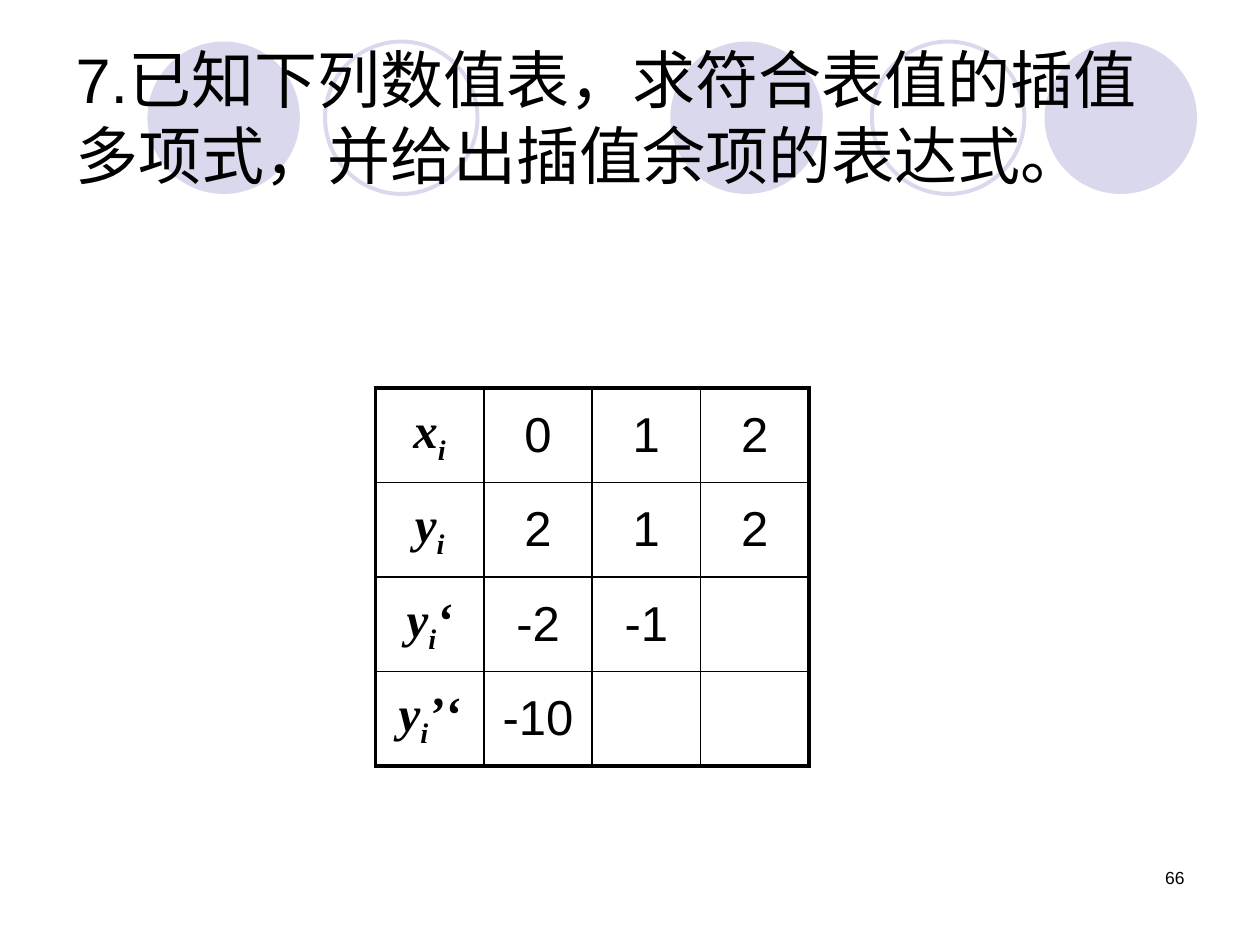
from lxml import etree
from pptx import Presentation
from pptx import util as u
from pptx.dml.color import RGBColor
from pptx.enum import shapes, text
from pptx.oxml.ns import qn

PX = 9144  # EMU per px, 100 px to the inch
COLORS = {"ink": "000000", "lilac": "D9D8EC"}
SANS, SERIF = "Arial", "Times New Roman"
THIN, THICK = 1, 2.25

CIRCLE, TOP = 121, 33
CIRCLES = [(532, True), (829, True), (117, True), (692, False), (258, False)]

# Row label: letter, subscript, prime marks; then the values
ROWS = [
    (("x", "i", ""), ["0", "1", "2"]),
    (("y", "i", ""), ["2", "1", "2"]),
    (("y", "i", "‘"), ["-2", "-1", ""]),
    (("y", "i", "’‘"), ["-10", "", ""]),
]


def px(*lengths):
    return [u.Emu(n * PX) for n in lengths]


def rgb(name):
    return RGBColor.from_string(COLORS[name])


def add_run(p, words, size, font=SANS, strong=False, baseline=0):
    """Add a run; strong is bold italic, baseline is a percentage."""
    r = p.add_run()
    r.text = words
    f = r.font
    f.size, f.name = u.Pt(size), font
    f.bold = f.italic = strong
    f.color.rgb = rgb("ink")
    if baseline:
        r._r.get_or_add_rPr().set("baseline", str(baseline * 1000))


def add_circle(s, left, filled):
    sp = s.shapes.add_shape(shapes.MSO_SHAPE.OVAL, *px(left, TOP, CIRCLE, CIRCLE))
    sp.shadow.inherit = False
    if filled:
        sp.fill.solid()
        sp.fill.fore_color.rgb = rgb("lilac")
        sp.line.fill.background()
    else:
        sp.fill.background()
        sp.line.color.rgb = rgb("lilac")
        sp.line.width = u.Pt(THICK)


def set_title(s, words):
    sp = s.shapes.title
    s.shapes._spTree.append(sp._element)  # in front of the circles
    sp.left, sp.top, sp.width, sp.height = px(50, 30, 900, 125)
    tf = sp.text_frame
    tf.word_wrap = True
    tf.auto_size = text.MSO_AUTO_SIZE.NONE
    tf.vertical_anchor = text.MSO_ANCHOR.MIDDLE
    p = tf.paragraphs[0]
    p.alignment = text.PP_ALIGN.LEFT
    add_run(p, words, 36)


def set_borders(cell, widths):
    """Draw the borders; widths maps L, R, T, B to points."""
    tcPr = cell._tc.get_or_add_tcPr()
    for i, (side, width) in enumerate(widths.items()):
        ln = etree.Element(qn("a:ln" + side), w=str(u.Pt(width)))
        fill = etree.SubElement(ln, qn("a:solidFill"))
        etree.SubElement(fill, qn("a:srgbClr"), val=COLORS["ink"])
        tcPr.insert(i, ln)


def add_value_table(s):
    n_rows, n_cols = len(ROWS), len(ROWS[0][1]) + 1
    table = s.shapes.add_table(n_rows, n_cols, *px(298, 308, 344, 300)).table
    table.first_row = table.horz_banding = False
    for i, (label, values) in enumerate(ROWS):
        for j in range(n_cols):
            cell = table.cell(i, j)
            cell.fill.background()
            cell.vertical_anchor = text.MSO_ANCHOR.MIDDLE
            set_borders(cell, {
                "L": THICK if j == 0 else THIN,
                "R": THICK if j == n_cols - 1 else THIN,
                "T": THICK if i == 0 else THIN,
                "B": THICK if i == n_rows - 1 else THIN,
            })
            p = cell.text_frame.paragraphs[0]
            p.alignment = text.PP_ALIGN.CENTER
            if j == 0:
                for part, baseline in zip(label, (0, -25, 0)):
                    if part:
                        add_run(p, part, 28, SERIF, True, baseline)
            elif values[j - 1]:
                add_run(p, values[j - 1], 28)


def add_page_number(s, number):
    tf = s.shapes.add_textbox(*px(717, 683, 233, 50)).text_frame
    tf.word_wrap = True
    p = tf.paragraphs[0]
    p.alignment = text.PP_ALIGN.RIGHT
    add_run(p, number, 10)


def main():
    prs = Presentation()
    prs.slide_width, prs.slide_height = px(1000, 750)
    s = prs.slides.add_slide(prs.slide_layouts[5])
    for left, filled in CIRCLES:
        add_circle(s, left, filled)
    set_title(s, "7.已知下列数值表，求符合表值的插值多项式，并给出插值余项的表达式。")
    add_value_table(s)
    add_page_number(s, "66")
    prs.save("out.pptx")


if __name__ == "__main__":
    main()
